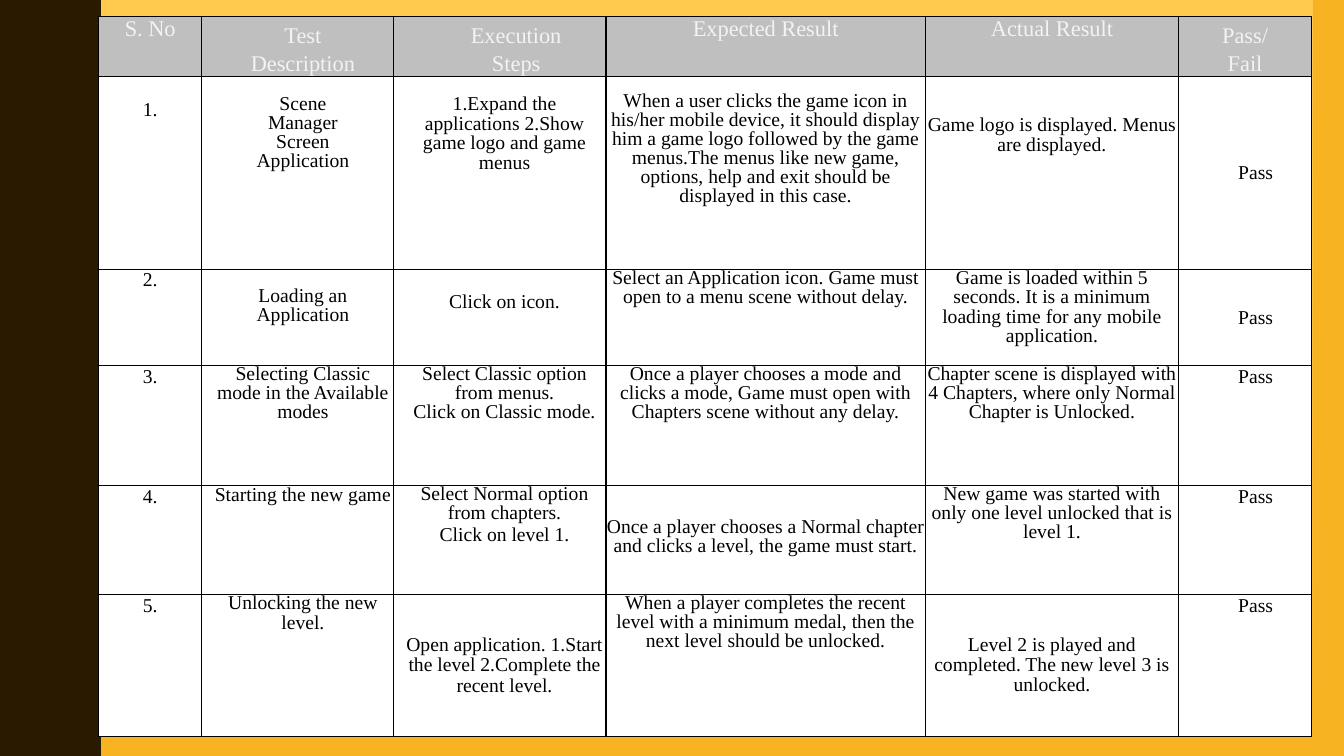
from lxml.etree import fromstring
from pptx import Presentation
from pptx.dml.color import RGBColor as RGB
from pptx.enum.shapes import MSO_SHAPE as SHAPE
from pptx.enum.text import MSO_ANCHOR as ANCHOR, PP_ALIGN as ALIGN
from pptx.oxml.ns import nsdecls
from pptx.util import Inches as In, Pt

W, H = 13.33, 7.5
TOP, MID, BOTTOM = ANCHOR.TOP, ANCHOR.MIDDLE, ANCHOR.BOTTOM


def paint(fill, color):
    fill.solid()
    fill.fore_color.rgb = RGB.from_string(color)


def write(cell, text, size, color, background, indent, leading=None,
          anchor=TOP, top=0, bottom=0, gap=0):
    paint(cell.fill, background)
    cell.vertical_anchor = anchor
    cell.margin_left = cell.margin_right = 0
    cell.margin_top, cell.margin_bottom = In(top), In(bottom)
    tcPr = cell._tc.get_or_add_tcPr()
    for i, side in enumerate("LRTB"):
        tcPr.insert(i, fromstring(
            f'<a:ln{side} {nsdecls("a")} w="12700"><a:solidFill>'
            f'<a:srgbClr val="000000"/></a:solidFill></a:ln{side}>'))
    lines = text.split("\n")
    tf = cell.text_frame
    for i, line in enumerate(lines):
        p = tf.add_paragraph() if i else tf.paragraphs[0]
        p.text = line
        p.alignment = ALIGN.CENTER
        pPr = p._p.get_or_add_pPr()
        pPr.set("marL", str(In(indent)))
        pPr.set("indent", "0")
        if leading:
            p.line_spacing = Pt(leading)
        if gap and i < len(lines) - 1:
            p.space_after = Pt(gap)
        p.font.name = "Times New Roman"
        p.font.size = Pt(size)
        p.font.color.rgb = RGB.from_string(color)


prs = Presentation()
prs.slide_width, prs.slide_height = In(W), In(H)
s = prs.slides.add_slide(prs.slide_layouts[6])

bg = s.background.fill
bg.gradient()
bg.gradient_angle = 270
for stop, color, place in zip(bg.gradient_stops, ["FFCA4E", "F8B323"], [0, 1]):
    stop.color.rgb = RGB.from_string(color)
    stop.position = place

period = H / 5
rise = [(0.78, 0), (0.78, 0.07), (0.79, 0.14), (0.8, 0.2), (0.81, 0.25),
        (0.83, 0.29), (0.85, 0.33), (0.87, 0.38), (0.89, 0.42), (0.91, 0.46),
        (0.93, 0.5), (0.95, 0.55), (0.96, 0.61), (0.97, 0.68), (0.97, 0.75)]
wave = rise + [(x, period - y) for x, y in rise[-2::-1]]
edge = [(x, y + k * period) for k in range(5) for x, y in wave]
fb = s.shapes.build_freeform(0, 0, scale=In(1))
fb.add_line_segments(edge + [(0, H)], close=True)
curtain = fb.convert_to_shape()
band = s.shapes.add_shape(SHAPE.RECTANGLE, In(W - 0.31), 0, In(0.31), In(H))
for sp, color in [(curtain, "2A1A00"), (band, "F8B323")]:
    sp.shadow.inherit = False
    paint(sp.fill, color)
    sp.line.fill.background()

cols = [1.02, 1.9, 2.11, 3.17, 2.51, 1.32]
rows = [0.6, 1.91, 0.96, 1.19, 1.08, 1.41]
header_indents = [0, 0.11, 0.33, 0, 0, 0]
body_indents = [0, 0.11, 0.1, 0, 0, 0.21]

header = [("S. No", TOP), ("Test\nDescription", BOTTOM),
          ("Execution\nSteps", BOTTOM), ("Expected Result", TOP),
          ("Actual Result", TOP), ("Pass/\nFail", BOTTOM)]
body = [
    [("1.", None, TOP, 0.22),
     ("Scene\nManager\nScreen\nApplication", 13.6, TOP, 0.19),
     ("1.Expand the applications 2.Show game logo and game menus",
      13.9, TOP, 0.19),
     ("When a user clicks the game icon in his/her mobile device, it should "
      "display him a game logo followed by the game menus.The menus like new "
      "game, options, help and exit should be displayed in this case.",
      13.6, BOTTOM, 0, 0.62),
     ("Game logo is displayed. Menus are displayed.", 14.1, TOP, 0.39),
     ("Pass", None, MID)],
    [("2.",),
     ("Loading an Application", 13.5, TOP, 0.19),
     ("Click on icon.", None, TOP, 0.22),
     ("Select an Application icon. Game must open to a menu scene without "
      "delay.", 13.9),
     ("Game is loaded within 5 seconds. It is a minimum loading time for any "
      "mobile application.", 13.9),
     ("Pass", None, MID)],
    [("3.",),
     ("Selecting Classic mode in the Available modes", 13.6),
     ("Select Classic option from menus.\nClick on Classic mode.", 13.6),
     ("Once a player chooses a mode and clicks a mode, Game must open with "
      "Chapters scene without any delay.", 13.6),
     ("Chapter scene is displayed with 4 Chapters, where only Normal Chapter "
      "is Unlocked.", 13.6),
     ("Pass",)],
    [("4.",),
     ("Starting the new game", 13.9),
     ("Select Normal option from chapters.\nClick on level 1.",
      13.6, TOP, 0, 0, 2),
     ("Once a player chooses a Normal chapter and clicks a level, the game "
      "must start.", 13.6, BOTTOM, 0, 0.38),
     ("New game was started with only one level unlocked that is level 1.",
      13.6),
     ("Pass",)],
    [("5.",),
     ("Unlocking the new level.", 13.9),
     ("Open application. 1.Start the level 2.Complete the recent level.",
      14.6, MID),
     ("When a player completes the recent level with a minimum medal, then "
      "the next level should be unlocked.", 13.6),
     ("Level 2 is played and completed. The new level 3 is unlocked.",
      14.1, MID),
     ("Pass",)],
]

table = s.shapes.add_table(len(rows), len(cols), In(0.98), In(0.16),
                           In(sum(cols)), In(sum(rows))).table
table.first_row = table.horz_banding = False
for col, width in zip(table.columns, cols):
    col.width = In(width)
for row, height in zip(table.rows, rows):
    row.height = In(height)

for c, (text, anchor) in enumerate(header):
    write(table.cell(0, c), text, 16, "F3F3F2", "BFBFBF", header_indents[c],
          anchor=anchor, gap=2.1)
for r, entries in enumerate(body, 1):
    for c, (text, *layout) in enumerate(entries):
        write(table.cell(r, c), text, 14, "000000", "FFFFFF", body_indents[c],
              *layout)

prs.save("out.pptx")
